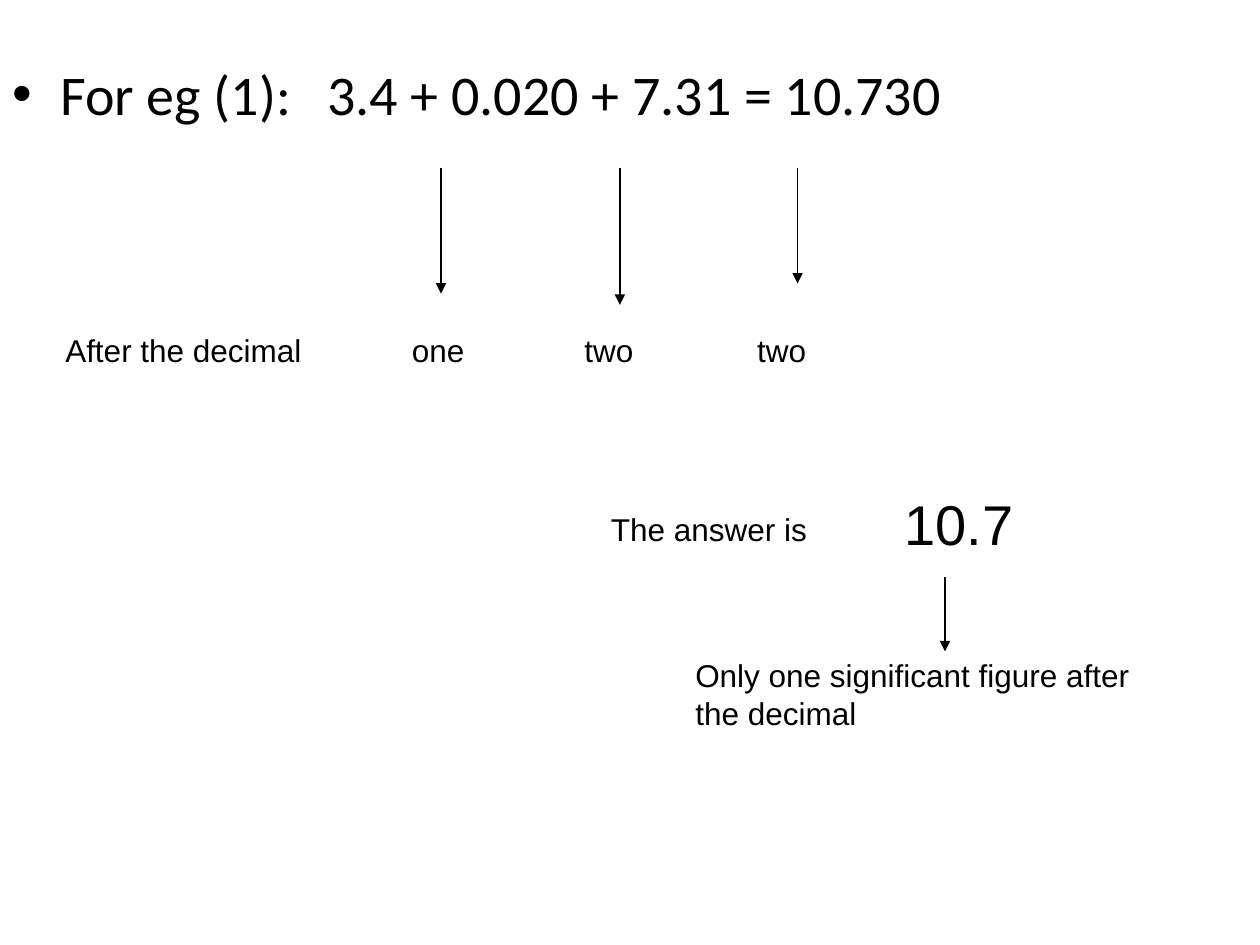
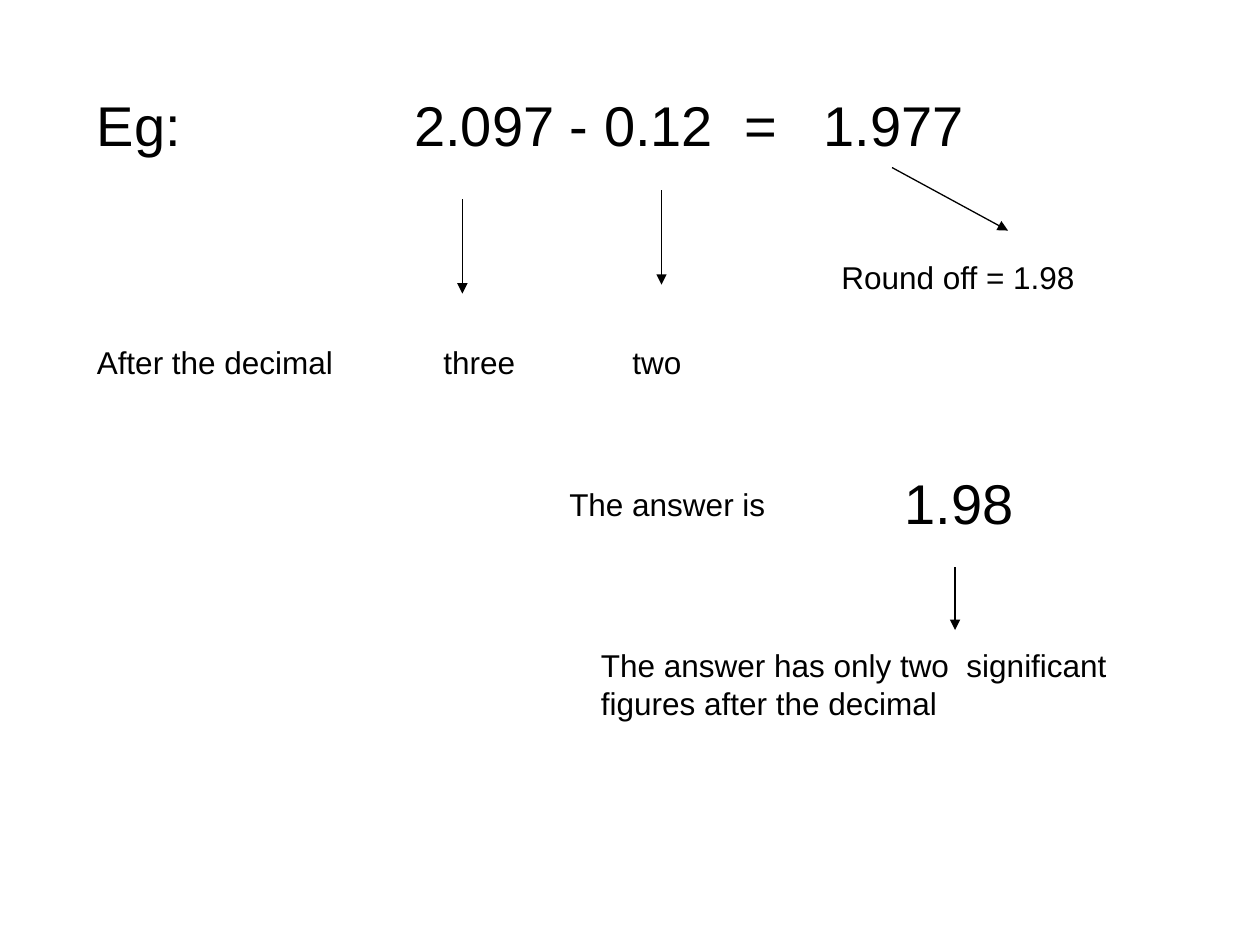
from dataclasses import dataclass

from lxml import etree
from pptx import Presentation
from pptx.dml.color import RGBColor
from pptx.enum.shapes import MSO_CONNECTOR
from pptx.enum.text import MSO_AUTO_SIZE
from pptx.oxml.ns import qn
from pptx.util import Inches, Pt

STRAIGHT = MSO_CONNECTOR.STRAIGHT
GROW = MSO_AUTO_SIZE.SHAPE_TO_FIT_TEXT
FIXED = MSO_AUTO_SIZE.NONE

COLOURS = {"ink": "000000", "paper": "FFFFFF"}
BODY_SIZE = 18
LARGE_SIZE = 32
SPACER_SIZE = 44
LINE_WIDTH = 0.75


@dataclass
class Label:
    text: str
    left: float
    top: float
    width: float
    height: float = 0.4
    size: int = BODY_SIZE
    font: str = "Arial"
    tabs: tuple[float, ...] = ()
    bullet_indent: float = 0
    spacer_size: int = 0
    auto_size: MSO_AUTO_SIZE = GROW


@dataclass
class Arrow:
    start_x: float
    start_y: float
    end_x: float
    end_y: float


def down(x: float, top: float, bottom: float) -> Arrow:
    return Arrow(x, top, x, bottom)


def count_labels(words: list[str], left: float, top: float, step: float) -> list[Label]:
    """Evenly spaced words that count the decimal places."""
    return [Label(word, left + i * step, top, 0.92) for i, word in enumerate(words)]


def add_run(para, text: str, size: int, font: str) -> None:
    span = para.add_run()
    span.text = text
    for name, value in {"size": Pt(size), "name": font}.items():
        setattr(span.font, name, value)
    span.font.color.rgb = RGBColor.from_string(COLOURS["ink"])


def add_label(page, label: Label) -> None:
    box = page.shapes.add_textbox(Inches(label.left), Inches(label.top),
                                  Inches(label.width), Inches(label.height))
    frame = box.text_frame
    for name, value in {"word_wrap": True, "auto_size": label.auto_size}.items():
        setattr(frame, name, value)
    para = frame.paragraphs[0]
    properties = para._p.get_or_add_pPr()

    # Hanging bullet
    if label.bullet_indent:
        indent = Inches(label.bullet_indent)
        properties.set("marL", str(indent))
        properties.set("indent", str(-indent))
        etree.SubElement(properties, qn("a:buFont"), typeface="Arial")
        etree.SubElement(properties, qn("a:buChar"), char="•")

    # Tab stops
    if label.tabs:
        stops = etree.SubElement(properties, qn("a:tabLst"))
        for position in label.tabs:
            etree.SubElement(stops, qn("a:tab"), pos=str(Inches(position)), algn="l")

    add_run(para, label.text, label.size, label.font)
    if label.spacer_size:
        add_run(para, " ", label.spacer_size, label.font)


def add_arrow(page, arrow: Arrow) -> None:
    connector = page.shapes.add_connector(
        STRAIGHT, Inches(arrow.start_x), Inches(arrow.start_y),
        Inches(arrow.end_x), Inches(arrow.end_y))
    connector.line.width = Pt(LINE_WIDTH)
    connector.line.color.rgb = RGBColor.from_string(COLOURS["ink"])
    etree.SubElement(connector.line._get_or_add_ln(), qn("a:tailEnd"), type="triangle")
    etree.SubElement(connector._element.spPr, qn("a:effectLst"))


def add_page(deck, labels: list[Label], arrows: list[Arrow]) -> None:
    page = deck.slides.add_slide(deck.slide_layouts[6])
    fill = page.background.fill
    fill.solid()
    fill.fore_color.rgb = RGBColor.from_string(COLOURS["paper"])
    for label in labels:
        add_label(page, label)
    for arrow in arrows:
        add_arrow(page, arrow)


def main() -> None:
    deck = Presentation()
    deck.slide_width, deck.slide_height = Inches(10), Inches(7.5)

    # Addition example
    add_page(
        deck,
        [
            Label("For eg (1):\t3.4 + 0.020 + 7.31 = 10.730", 0, 0.42, 10, 6.12,
                  LARGE_SIZE, "Calibri", bullet_indent=0.38, auto_size=FIXED),
            Label("After the decimal", 0.42, 2.58, 2.33),
            *count_labels(["one", "two", "two"], 3.17, 2.58, 1.37),
            Label("The answer is", 4.75, 4, 2.17),
            Label("10.7", 7.08, 3.67, 2.17, 0.83, LARGE_SIZE, spacer_size=SPACER_SIZE),
            Label("Only one significant figure after the decimal", 5.42, 5.16, 3.67, 0.7),
        ],
        [down(3.5, 1.33, 2.33), down(4.92, 1.33, 2.42), down(6.33, 1.33, 2.25),
         down(7.5, 4.58, 5.17)],
    )

    # Subtraction example
    add_page(
        deck,
        [
            Label("Eg:\t2.097 - 0.12\t=\t1.977", 0.67, 0.67, 7.33, 0.63, LARGE_SIZE,
                  tabs=(2.52, 5.14, 5.77)),
            Label("Round off = 1.98", 6.58, 2, 2.33),
            Label("After the decimal", 0.67, 2.67, 2.33),
            *count_labels(["three", "two"], 3.42, 2.67, 1.5),
            Label("The answer is", 4.42, 3.8, 2.33),
            Label("1.98", 7.08, 3.67, 2.17, 0.63, LARGE_SIZE),
            Label("The answer has only two  significant figures after the decimal",
                  4.67, 5.08, 4.42, 0.7),
        ],
        [down(3.67, 1.58, 2.33), down(5.25, 1.51, 2.26), Arrow(7.08, 1.33, 8, 1.83),
         down(7.58, 4.5, 5)],
    )

    deck.save("out.pptx")


if __name__ == "__main__":
    main()
